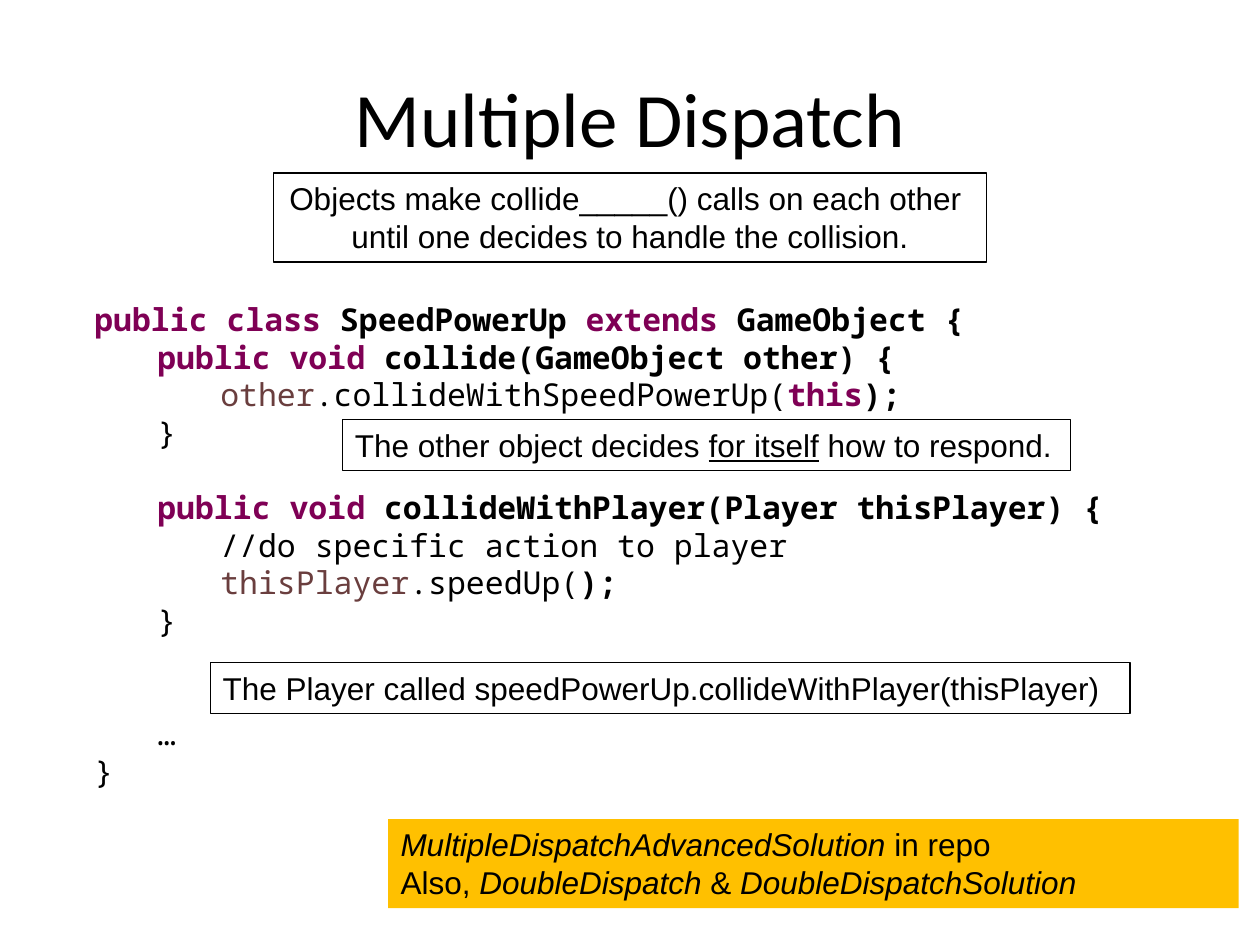
"""Build the Multiple Dispatch slide with its code listing and callouts."""
from pptx import Presentation
from pptx.dml.color import RGBColor
from pptx.enum import text
from pptx.util import Pt

COLORS = {"ink": "000000", "keyword": "7F0055", "variable": "6A3E3E", "note": "FFC000"}


def add_runs(para, runs, font="Arial", size=18):
    for words, style, color in runs:
        span = para.add_run()
        span.text = words
        span.font.name = font
        span.font.size = Pt(size)
        span.font.bold = "b" in style
        span.font.italic = "i" in style
        span.font.underline = "u" in style
        span.font.color.rgb = RGBColor.from_string(COLORS[color])


def add_box(page, place, lines, font="Arial", align=text.PP_ALIGN.LEFT):
    box = page.shapes.add_textbox(*[Pt(length) for length in place])
    frame = box.text_frame
    frame.word_wrap = True
    for number, (gap, runs) in enumerate(lines):
        para = frame.add_paragraph() if number else frame.paragraphs[0]
        para.alignment = align
        para.space_before = Pt(gap)
        add_runs(para, runs, font)
    return box


deck = Presentation()
deck.slide_width, deck.slide_height = Pt(720), Pt(540)
page = deck.slides.add_slide(deck.slide_layouts[5])

title = page.shapes.title
title.left, title.top, title.width, title.height = Pt(36), Pt(21.6), Pt(648), Pt(90)
title.text_frame.vertical_anchor = text.MSO_ANCHOR.MIDDLE
title.text_frame.paragraphs[0].alignment = text.PP_ALIGN.CENTER
add_runs(title.text_frame.paragraphs[0], [("Multiple Dispatch", "", "ink")], "Calibri", 44)

code = [
    (0, [("public class ", "b", "keyword"), ("SpeedPowerUp ", "b", "ink"),
         ("extends ", "b", "keyword"), ("GameObject {", "b", "ink")]),
    (0, [("\tpublic void", "b", "keyword"), (" collide(GameObject other) {", "b", "ink")]),
    (0, [("\t\tother", "", "variable"), (".collideWithSpeedPowerUp(", "", "ink"),
         ("this", "b", "keyword"), (");", "b", "ink")]),
    (0, [("\t}", "", "ink")]),
    (21, [("\tpublic void ", "b", "keyword"),
          ("collideWithPlayer(Player thisPlayer) {", "b", "ink")]),
    (0, [("\t\t//do specific action to player", "", "ink")]),
    (0, [("\t\tthisPlayer", "", "variable"), (".speedUp(", "", "ink"), (");", "b", "ink")]),
    (0, [("\t}", "", "ink")]),
    (43, [("\t…", "", "ink")]),
    (0, [("}", "", "ink")]),
]
add_box(page, (46.8, 167.8, 671.8, 312.5), code, "Noto Sans Mono")

repo_note = add_box(page, (221.8, 468, 486, 51), [
    (0, [("MultipleDispatchAdvancedSolution", "i", "ink"), (" in repo", "", "ink")]),
    (0, [("Also, ", "", "ink"), ("DoubleDispatch", "i", "ink"), (" & ", "", "ink"),
         ("DoubleDispatchSolution", "i", "ink")]),
])
repo_note.fill.solid()
repo_note.fill.fore_color.rgb = RGBColor.from_string(COLORS["note"])

callouts = [
    ((195.8, 239.8, 416, 29), text.PP_ALIGN.LEFT, [
        (0, [("The other object decides ", "", "ink"), ("for itself", "u", "ink"),
             (" how to respond.", "", "ink")])]),
    ((120.2, 378.7, 525.6, 29), text.PP_ALIGN.LEFT, [
        (0, [("The Player called speedPowerUp.collideWithPlayer(thisPlayer)", "", "ink")])]),
    ((156.2, 98.8, 407.5, 51), text.PP_ALIGN.CENTER, [
        (0, [("Objects make collide_____() calls on each other ", "", "ink")]),
        (0, [("until one decides to handle the collision.", "", "ink")])]),
]
for place, align, lines in callouts:
    callout = add_box(page, place, lines, align=align)
    callout.line.color.rgb = RGBColor.from_string(COLORS["ink"])
    callout.line.width = Pt(0.75)

deck.save("out.pptx")
